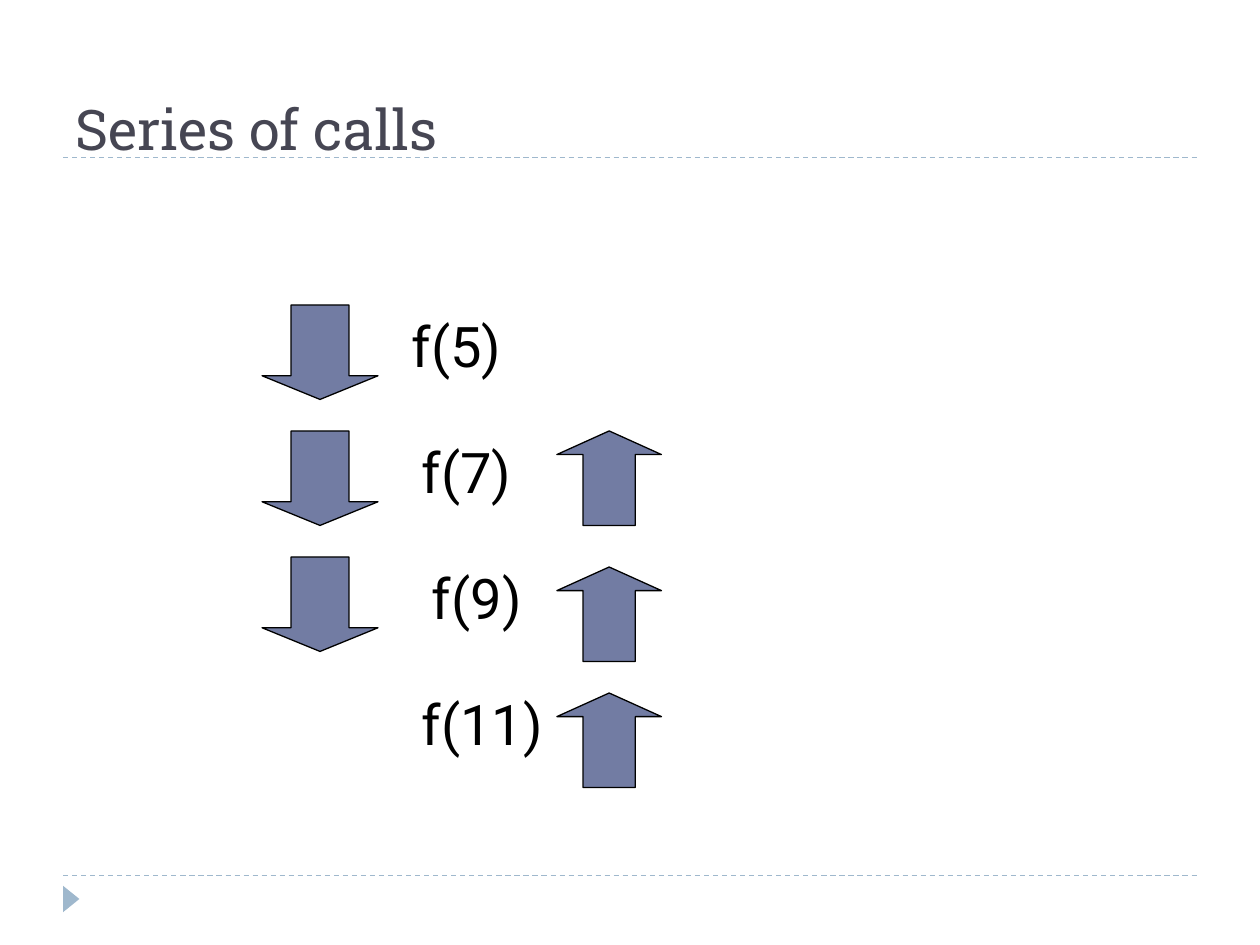
from pptx import Presentation
from pptx.dml.color import RGBColor
from pptx.enum.dml import MSO_LINE
from pptx.enum.shapes import MSO_CONNECTOR, MSO_SHAPE
from pptx.enum.text import MSO_ANCHOR
from pptx.oxml.ns import qn
from pptx.util import Inches, Pt
from lxml import etree

DASH = MSO_LINE.DASH
STRAIGHT = MSO_CONNECTOR.STRAIGHT
TRIANGLE = MSO_SHAPE.ISOSCELES_TRIANGLE
DOWN, UP = MSO_SHAPE.DOWN_ARROW, MSO_SHAPE.UP_ARROW
TOP, BOTTOM = MSO_ANCHOR.TOP, MSO_ANCHOR.BOTTOM
COLORS = {"rule": "9FB8CD", "title": "464653", "arrow": "727CA3", "ink": "000000"}


def add_text(text, box, font, color, anchor):
    label = slide.shapes.add_textbox(*map(Inches, box))
    frame = label.text_frame
    frame.word_wrap = True
    frame.vertical_anchor = anchor
    frame.text = text
    run = frame.paragraphs[0].runs[0]
    run.font.name = font
    run.font.size = Pt(32)
    run.font.color.rgb = RGBColor.from_string(COLORS[color])


def add_filled(kind, box, color):
    shape = slide.shapes.add_shape(kind, *map(Inches, box))
    shape.shadow.inherit = False
    shape.fill.solid()
    shape.fill.fore_color.rgb = RGBColor.from_string(COLORS[color])
    return shape


prs = Presentation()
prs.slide_width, prs.slide_height = Inches(10), Inches(7.5)
slide = prs.slides.add_slide(prs.slide_layouts[6])

for y in (6.95, 1.25):
    rule = slide.shapes.add_connector(STRAIGHT, Inches(0.5), Inches(y), Inches(9.5), Inches(y))
    rule.line.color.rgb = RGBColor.from_string(COLORS["rule"])
    rule.line.width = Pt(0.75)
    rule.line.dash_style = DASH
    etree.SubElement(rule._element.spPr, qn("a:effectLst"))

footer_marker = add_filled(TRIANGLE, (0.46, 7.07, 0.21, 0.13), "rule")
footer_marker.rotation = 90
footer_marker.line.fill.background()

add_text("Series of calls", (0.5, 0.08, 8.67, 1.25), "Roboto Slab", "title", BOTTOM)

first_row = 2.42
calls = [("f(5)", 3.17, 1.42), ("f(7)", 3.25, 1.42), ("f(9)", 3.33, 1.25), ("f(11)", 3.25, 1.42)]
for row, (call, left, width) in enumerate(calls):
    add_text(call, (left, first_row + row, width, 0.63), "Roboto", "ink", TOP)

call_arrows = [(DOWN, 2.08, first_row + row, 0.92) for row in range(3)]
return_arrows = [(UP, 4.42, top, 0.83) for top in (3.42, 4.5, 5.5)]
for kind, left, top, width in call_arrows + return_arrows:
    arrow = add_filled(kind, (left, top, width, 0.75), "arrow")
    arrow.adjustments[0] = 0.5
    arrow.adjustments[1] = 0.25
    arrow.line.color.rgb = RGBColor.from_string(COLORS["ink"])
    arrow.line.width = Pt(0.75)

prs.save("out.pptx")
